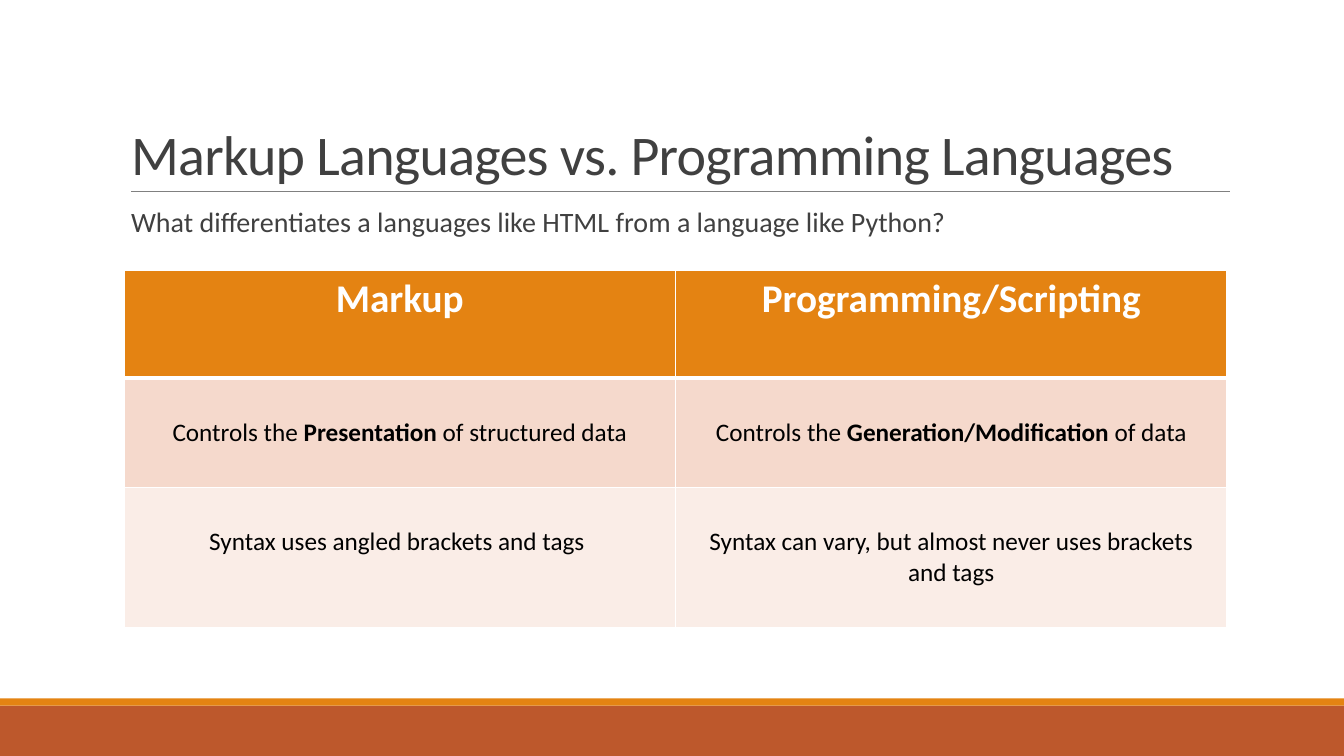
from lxml.etree import SubElement
from pptx import Presentation
from pptx.dml.color import RGBColor
from pptx.enum.shapes import MSO_CONNECTOR, MSO_SHAPE
from pptx.enum.text import MSO_ANCHOR, MSO_AUTO_SIZE, PP_ALIGN
from pptx.oxml.ns import qn
from pptx.util import Inches, Pt

FONT = "Calibri"
WHITE = RGBColor(0xFF, 0xFF, 0xFF)
BLACK = RGBColor(0, 0, 0)
DARK = RGBColor(0x40, 0x40, 0x40)
GRAY = RGBColor(0x80, 0x80, 0x80)
ORANGE = RGBColor(0xE4, 0x83, 0x12)
RUST = RGBColor(0xBD, 0x58, 0x2C)
PEACH = RGBColor(0xF5, 0xD9, 0xCC)
PALE = RGBColor(0xFA, 0xED, 0xE7)

# Each cell is a list of (text, bold) spans
ROWS = [
    [[("Markup", True)], [("Programming/Scripting", True)]],
    [
        [("Controls the ", False), ("Presentation ", True), ("of structured data", False)],
        [("Controls the ", False), ("Generation/Modification", True), (" of data", False)],
    ],
    [
        [("Syntax uses angled brackets and tags ", False)],
        [("Syntax can vary, but almost never uses brackets and tags", False)],
    ],
]
ROW_HEIGHTS = [1.07, 1.07, 1.22]
ROW_FILLS = [ORANGE, PEACH, PALE]


def add_span(para, text, size=18, color=BLACK, bold=False, spacing=None):
    span = para.add_run()
    span.text = text
    span.font.name = FONT
    span.font.size = Pt(size)
    span.font.bold = bold
    span.font.color.rgb = color
    if spacing is not None:
        span.font._element.set("spc", str(round(spacing * 100)))


def place(shape, left, top, width, height):
    shape.left, shape.top = Inches(left), Inches(top)
    shape.width, shape.height = Inches(width), Inches(height)


def add_band(page, top, height, color):
    band = page.shapes.add_shape(
        MSO_SHAPE.RECTANGLE, 0, Inches(top), Inches(13.33), Inches(height))
    band.shadow.inherit = False
    band.fill.solid()
    band.fill.fore_color.rgb = color
    band.line.fill.background()


def add_rule(page, left, right, top):
    rule = page.shapes.add_connector(
        MSO_CONNECTOR.STRAIGHT, Inches(left), Inches(top), Inches(right), Inches(top))
    rule.line.color.rgb = GRAY
    rule.line.width = Pt(0.5)
    SubElement(rule._element.spPr, qn("a:effectLst"))


def fill_title(title, text):
    place(title, 1.2, 0.31, 11, 1.59)
    frame = title.text_frame
    frame.auto_size = MSO_AUTO_SIZE.NONE
    frame.vertical_anchor = MSO_ANCHOR.BOTTOM
    para = frame.paragraphs[0]
    para.alignment = PP_ALIGN.LEFT
    para.line_spacing = 0.85
    add_span(para, text, size=40, color=DARK, spacing=-0.5)


def fill_body(body, text):
    place(body, 1.2, 2.02, 11, 4.4)
    frame = body.text_frame
    frame.auto_size = MSO_AUTO_SIZE.NONE
    frame.margin_left = frame.margin_right = 0
    para = frame.paragraphs[0]
    para.line_spacing = 0.9
    para.space_before, para.space_after = Pt(12), Pt(2)
    # Blank bullet with a small hanging indent
    props = para._p.get_or_add_pPr()
    props.set("marL", str(Inches(0.1)))
    props.set("indent", str(Inches(-0.1)))
    SubElement(props, qn("a:buChar"), char=" ")
    add_span(para, text, size=20, color=DARK)


def set_borders(cell, top, bottom):
    props = cell._tc.get_or_add_tcPr()
    for side, width in (("L", 1), ("R", 1), ("T", top), ("B", bottom)):
        line = SubElement(props, qn(f"a:ln{side}"), w=str(Pt(width)))
        fill = SubElement(line, qn("a:solidFill"))
        SubElement(fill, qn("a:srgbClr"), val=str(WHITE))


def fill_cell(cell, spans, row):
    header = row == 0
    set_borders(cell, top=3 if row == 1 else 1, bottom=3 if header else 1)
    cell.fill.solid()
    cell.fill.fore_color.rgb = ROW_FILLS[row]
    if not header:
        cell.margin_left = cell.margin_right = Inches(0.15)
        cell.margin_top = cell.margin_bottom = Inches(0.39)
    para = cell.text_frame.paragraphs[0]
    para.alignment = PP_ALIGN.CENTER
    for text, bold in spans:
        add_span(para, text, size=28 if header else 18,
                 color=WHITE if header else BLACK, bold=bold)


def add_comparison(page):
    table = page.shapes.add_table(
        len(ROWS), 2, Inches(1.23), Inches(2.68),
        Inches(10.94), Inches(sum(ROW_HEIGHTS))).table
    for row, cells in enumerate(ROWS):
        table.rows[row].height = Inches(ROW_HEIGHTS[row])
        for column, spans in enumerate(cells):
            fill_cell(table.cell(row, column), spans, row)


def main():
    deck = Presentation()
    deck.slide_width, deck.slide_height = Inches(13.33), Inches(7.5)
    page = deck.slides.add_slide(deck.slide_layouts[1])

    # Footer bands and title rule
    add_band(page, 7, 0.5, RUST)
    add_band(page, 6.93, 0.07, ORANGE)
    add_rule(page, 1.3, 12.2, 1.9)

    # Heading, question and comparison table
    fill_title(page.shapes.title, "Markup Languages vs. Programming Languages")
    fill_body(page.placeholders[1],
              "What differentiates a languages like HTML from a language like Python?")
    add_comparison(page)

    deck.save("out.pptx")


if __name__ == "__main__":
    main()
